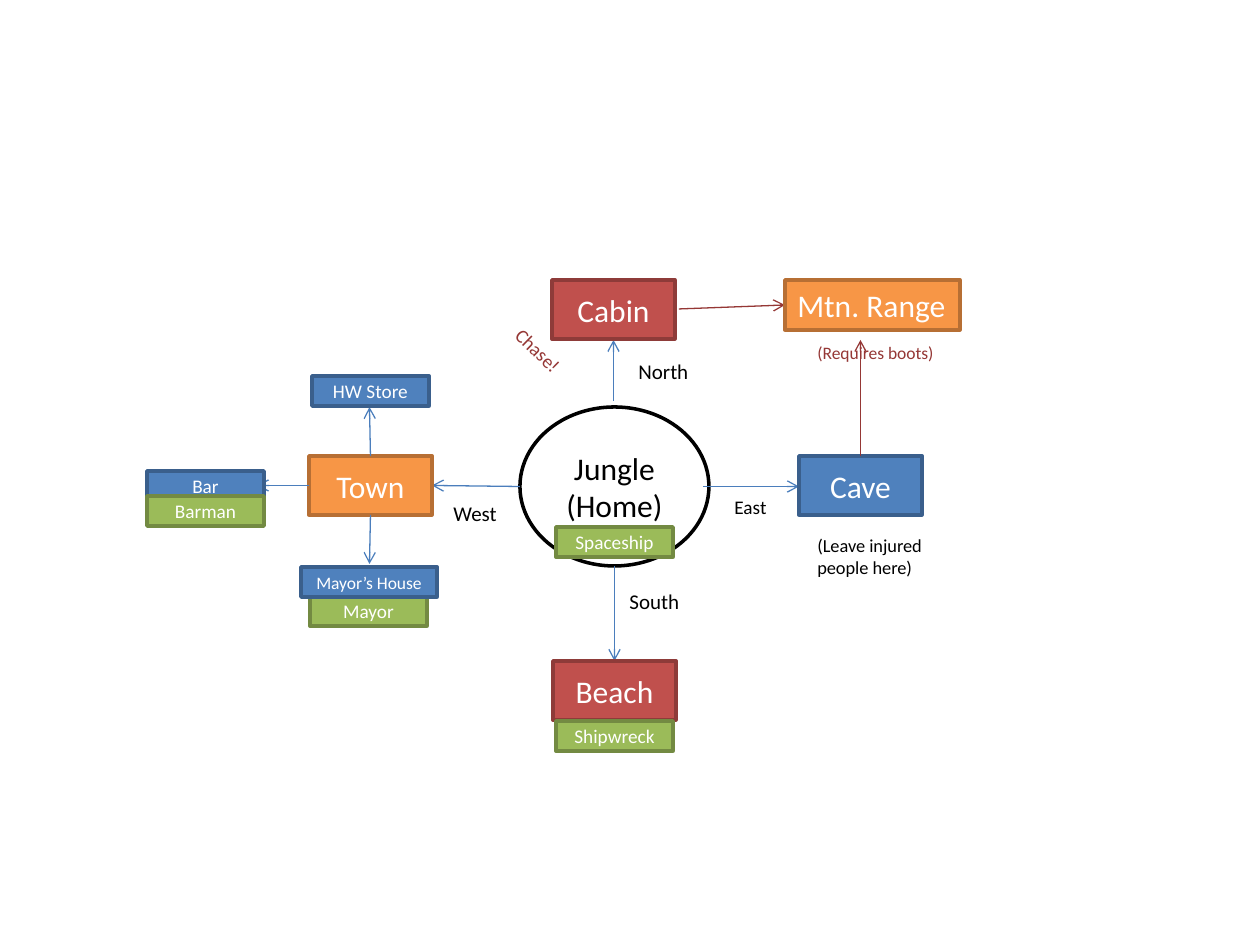
"""Build a map slide of places joined by arrows."""
from lxml import etree
from pptx import Presentation
from pptx.dml.color import RGBColor
from pptx.enum.shapes import MSO_CONNECTOR, MSO_SHAPE
from pptx.enum.text import MSO_ANCHOR, MSO_AUTO_SIZE, PP_ALIGN
from pptx.oxml.ns import qn
from pptx.util import Pt

PX = 914400 // 126
FONT = "Calibri"
RECT, OVAL = MSO_SHAPE.RECTANGLE, MSO_SHAPE.OVAL
LINE = MSO_CONNECTOR.STRAIGHT
LEFT, MID = PP_ALIGN.LEFT, PP_ALIGN.CENTER
TOP, CENTER = MSO_ANCHOR.TOP, MSO_ANCHOR.MIDDLE
GROW = MSO_AUTO_SIZE.SHAPE_TO_FIT_TEXT

WHITE = RGBColor(0xFF, 0xFF, 0xFF)
BLACK = RGBColor(0, 0, 0)
WINE = RGBColor(0x95, 0x37, 0x35)
SKY = RGBColor(0x4B, 0x7E, 0xBC)
RED = RGBColor(0xC0, 0x50, 0x4D), RGBColor(0x8E, 0x3B, 0x39)
BLUE = RGBColor(0x4F, 0x81, 0xBD), RGBColor(0x3A, 0x5F, 0x8C)
GREEN = RGBColor(0x9B, 0xBB, 0x59), RGBColor(0x73, 0x8A, 0x42)
GOLD = RGBColor(0xF7, 0x96, 0x46), RGBColor(0xB7, 0x6F, 0x34)
PLAIN = WHITE, BLACK

BIG = 123, 59
SMALL = 117, 30


def scale(*sizes):
    """Turn pixels into EMU."""
    return [round(size * PX) for size in sizes]


def write(frame, lines, size, color, align):
    """Write each line as a paragraph with one run."""
    for i, line in enumerate(lines):
        para = frame.add_paragraph() if i else frame.paragraphs[0]
        para.alignment = align
        run = para.add_run()
        run.text = line
        run.font.name = FONT
        run.font.size = Pt(size)
        run.font.color.rgb = color


def block(slide, box, lines, paint, size=11, ink=WHITE, kind=RECT, align=MID, anchor=CENTER):
    """Draw a filled shape with its name inside."""
    shape = slide.shapes.add_shape(kind, *scale(*box))
    shape.shadow.inherit = False
    shape.fill.solid()
    shape.fill.fore_color.rgb, shape.line.color.rgb = paint
    shape.line.width = Pt(2)
    frame = shape.text_frame
    frame.vertical_anchor = anchor
    write(frame, lines, size, ink, align)
    return shape


def label(slide, box, text, size=12, ink=BLACK, wrap=True, turn=0):
    """Place a text label."""
    shape = slide.shapes.add_textbox(*scale(*box))
    shape.rotation = turn
    frame = shape.text_frame
    frame.word_wrap = wrap
    frame.auto_size = GROW
    write(frame, [text], size, ink, LEFT)


def arrow(slide, start, end, color=SKY):
    """Draw a thin line with an open arrowhead at its end."""
    line = slide.shapes.add_connector(LINE, *scale(*start, *end))
    line.line.color.rgb = color
    line.line.width = Pt(0.75)
    props = line.line._get_or_add_ln()
    etree.SubElement(props, qn("a:tailEnd"), type="arrow")
    etree.SubElement(props.getparent(), qn("a:effectLst"))


def home(slide, x, y, w, h):
    """Draw the jungle with its four ways out."""
    mid, row = x + w / 2, y + h / 2
    block(slide, (x, y, w, h), ["Jungle", "(Home)"], PLAIN, 18, BLACK, OVAL)
    arrow(slide, (mid - 1, y - 6), (mid - 1, y - 67))
    arrow(slide, (x + w - 6, row), (x + w + 90, row))
    arrow(slide, (x, row), (x - 88, row - 1))
    arrow(slide, (mid, y + h), (mid, y + h + 95))
    label(slide, (x + 106, y - 55, 100, 38), "North")
    label(slide, (x + 202, y + 82, 79, 37), "East", 11)
    label(slide, (x + 97, y + 175, 79, 38), "South")
    label(slide, (x - 79, y + 87, 79, 38), "West")
    block(slide, (x + 36, y + 120, *SMALL), ["Spaceship"], GREEN)


def north(slide, x, y, w, h):
    """Draw the cabin and the chase to the mountains."""
    block(slide, (x, y, w, h), ["Cabin"], RED, 18)
    arrow(slide, (x + w + 4, y + 29), (x + 233, y + 25), WINE)
    peak = block(slide, (x + 233, y, 175, 50), ["Mtn. Range"], GOLD, 18,
                 align=LEFT, anchor=TOP)
    peak.text_frame.word_wrap = False
    peak.text_frame.auto_size = GROW
    label(slide, (x + 253, y + 56, 144, 34), "(Requires boots)", 10, WINE, False)
    label(slide, (x - 54, y + 54, 83, 37), "Chase!", 11, WINE, turn=44.4)


def east(slide, x, y, w, h):
    """Draw the cave and its way up."""
    mid = x + w / 2
    block(slide, (x, y, w, h), ["Cave"], BLUE, 18)
    label(slide, (x + 6, y + 72, 151, 57), "(Leave injured people here)", 10.5)
    arrow(slide, (mid, y), (mid, y - 116), WINE)


def south(slide, x, y, w, h):
    """Draw the beach and its wreck."""
    block(slide, (x, y, w, h), ["Beach"], RED, 18)
    block(slide, (x + 3, y + h + 1, *SMALL), ["Shipwreck"], GREEN)


def west(slide, x, y, w, h):
    """Draw the town with its houses and people."""
    mid, row = x + w / 2, y + h / 2
    block(slide, (x, y, w, h), ["Town"], GOLD, 18)
    arrow(slide, (mid, y), (mid - 1, y - 49))
    arrow(slide, (x, row), (x - 52, row))
    arrow(slide, (mid, y + h), (mid - 1, y + h + 49))
    block(slide, (x + 1, y + 140, *SMALL), ["Mayor"], GREEN)
    block(slide, (x + 3, y - 80, *SMALL), ["HW Store"], BLUE)
    block(slide, (x - 162, y + 15, *SMALL), ["Bar"], BLUE)
    block(slide, (x - 8, y + 111, 136, 30), ["Mayor’s House"], BLUE, 10)
    block(slide, (x - 162, y + 40, *SMALL), ["Barman"], GREEN)


def main():
    """Build and save the slide."""
    deck = Presentation()
    deck.slide_width, deck.slide_height = scale(1260, 945)
    slide = deck.slides.add_slide(deck.slide_layouts[6])
    home(slide, 520, 407, 189, 159)
    south(slide, 553, 661, *BIG)
    east(slide, 799, 456, *BIG)
    north(slide, 552, 280, *BIG)
    west(slide, 309, 456, *BIG)
    deck.save("out.pptx")


main()
